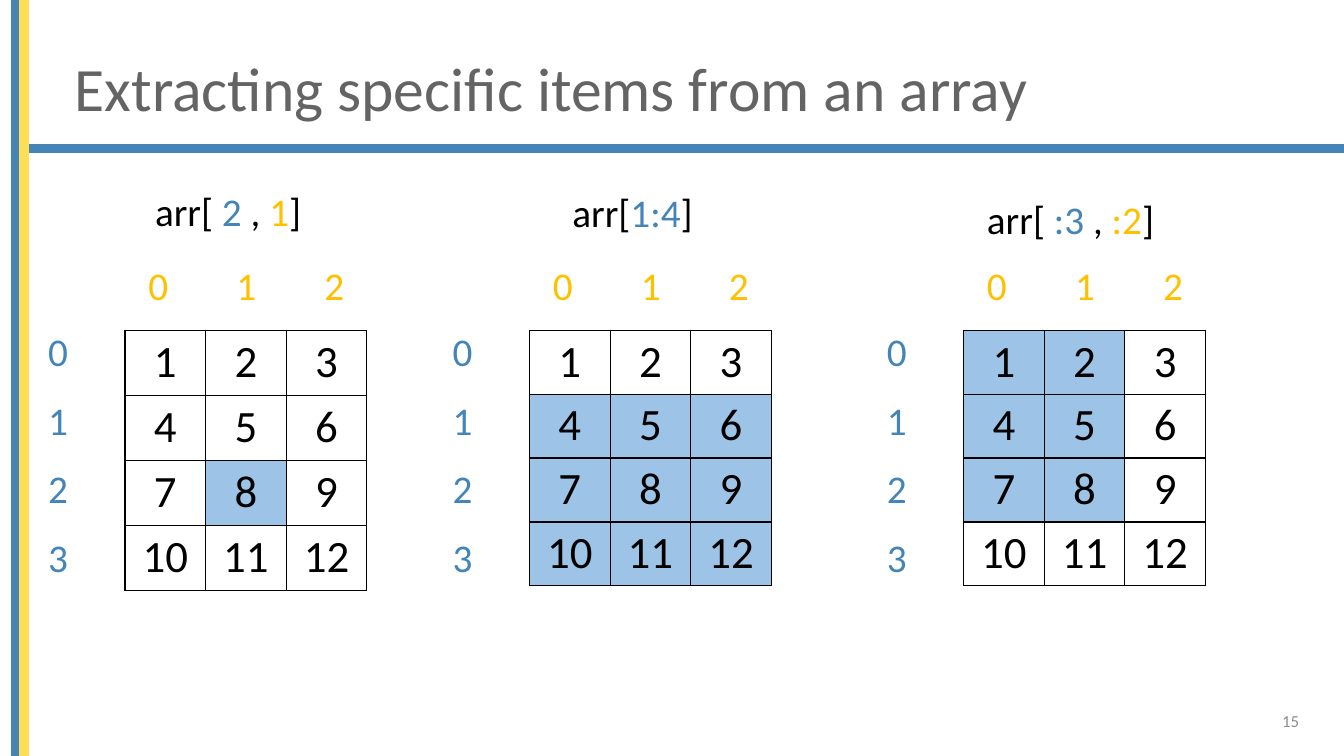
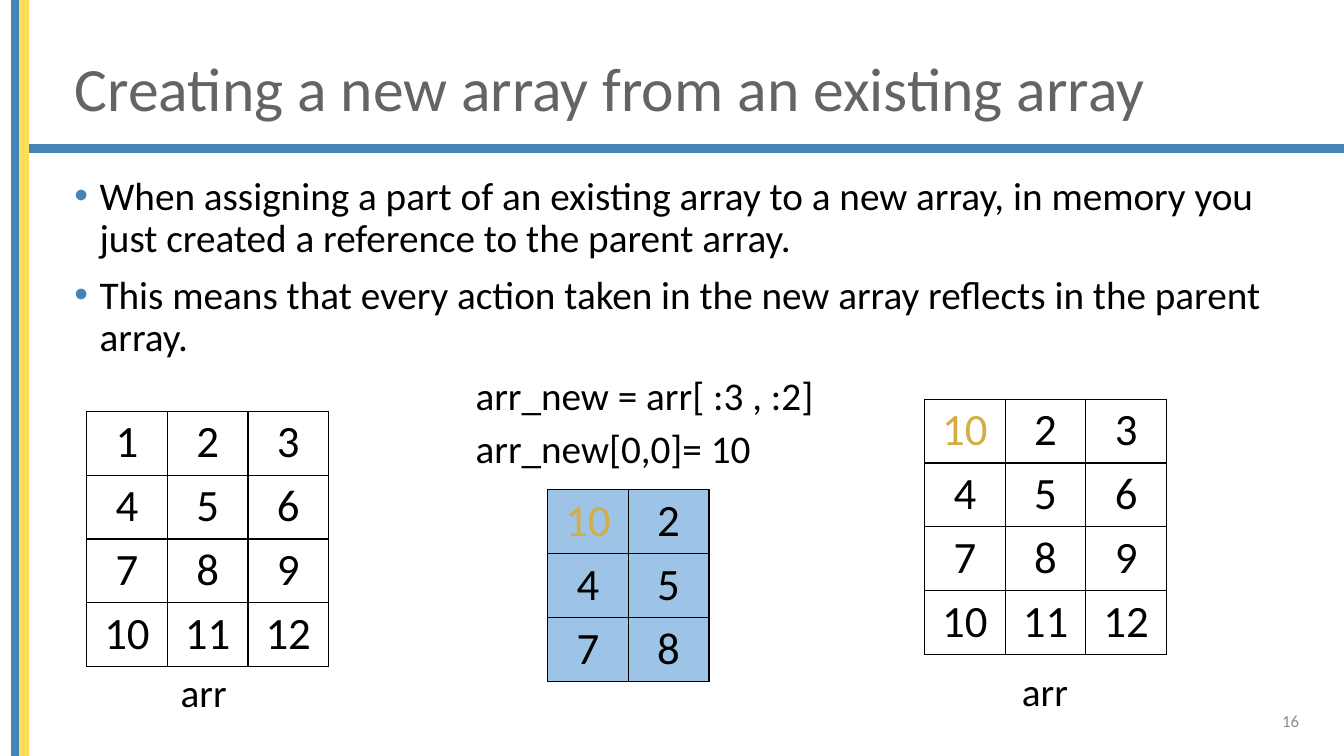
from lxml import etree
from pptx import Presentation
from pptx import util as u
from pptx.dml.color import RGBColor
from pptx.enum import shapes, text
from pptx.oxml import ns

BLUE = RGBColor(0x45, 0x84, 0xB6)
YELLOW = RGBColor(0xFF, 0xDE, 0x57)
AMBER = RGBColor(0xFF, 0xC0, 0x00)
GOLD = RGBColor(0xD5, 0xAD, 0x42)
SHADE = RGBColor(0x9D, 0xC3, 0xE6)
TITLE_GREY = RGBColor(0x64, 0x64, 0x64)
NUMBER_GREY = RGBColor(0x8C, 0x8C, 0x8C)
BLACK = RGBColor(0, 0, 0)

FONT = "Calibri"
WIDTH, HEIGHT = u.Inches(13.33), u.Inches(7.5)
CELL, ROW = 6, 8.45  # matrix cell, in percent of the slide's width and height
LABEL = (3, 7.6)     # index label size, in the same percentages


def add_xml(parent, tag, **attributes):
    return etree.SubElement(parent, ns.qn(tag), attributes)


class Slides:
    """Deck style and current slide; all lengths are percentages of the slide."""

    def __init__(self):
        self.deck = Presentation()
        self.deck.slide_width, self.deck.slide_height = WIDTH, HEIGHT
        self.page = None

    def place(self, left, top, width, height):
        return (round(left * WIDTH / 100), round(top * HEIGHT / 100),
                round(width * WIDTH / 100), round(height * HEIGHT / 100))

    def style(self, font, size, color):
        font.name, font.size, font.color.rgb = FONT, u.Pt(size), color

    def start(self, title, number):
        self.page = self.deck.slides.add_slide(self.deck.slide_layouts[5])
        self.band(2.1, 19.15, 97.9, 1.05, BLUE)
        self.band(0.9, 0, 0.6, 100, BLUE)
        self.band(1.5, 0, 0.6, 100, YELLOW)
        self.title(title)
        self.number(number)

    def band(self, left, top, width, height, color):
        bar = self.page.shapes.add_shape(
            shapes.MSO_SHAPE.RECTANGLE, *self.place(left, top, width, height))
        bar.shadow.inherit = False
        bar.fill.solid()
        bar.fill.fore_color.rgb = color
        bar.line.color.rgb = color
        bar.line.width = u.Pt(1)

    def title(self, words):
        box = self.page.shapes.title
        box.left, box.top, box.width, box.height = self.place(4.8, 5.3, 88.35, 13.5)
        frame = box.text_frame
        frame.text = words
        frame.word_wrap = True
        frame.auto_size = text.MSO_AUTO_SIZE.NONE
        frame.vertical_anchor = text.MSO_ANCHOR.MIDDLE
        para = frame.paragraphs[0]
        para.alignment = text.PP_ALIGN.LEFT
        para.line_spacing = 0.9
        self.style(para.runs[0].font, 44, TITLE_GREY)

    def number(self, value):
        frame = self.text([(str(value), NUMBER_GREY)], 74.9, 92.7, 22.5, 5.3, size=12)
        frame.vertical_anchor = text.MSO_ANCHOR.MIDDLE
        frame.word_wrap = True
        frame.paragraphs[0].alignment = text.PP_ALIGN.RIGHT

    def text(self, spans, left, top, width, height=LABEL[1], size=28):
        """One line made of (words, colour) spans."""
        box = self.page.shapes.add_textbox(*self.place(left, top, width, height))
        frame = box.text_frame
        frame.word_wrap = False
        for words, color in spans:
            span = frame.paragraphs[0].add_run()
            span.text = words
            self.style(span.font, size, color)
        return frame

    def bullets(self, lines, left, top, width, height):
        box = self.page.shapes.add_textbox(*self.place(left, top, width, height))
        frame = box.text_frame
        frame.word_wrap = True
        frame.text = "\n".join(lines)
        for index, para in enumerate(frame.paragraphs):
            para.line_spacing = 0.9
            para.space_before = u.Pt(10 if index else 0)
            props = para._p.get_or_add_pPr()
            props.set("marL", str(u.Inches(0.25)))
            props.set("indent", str(-u.Inches(0.25)))
            add_xml(add_xml(props, "a:buClr"), "a:srgbClr", val=str(BLUE))
            add_xml(props, "a:buFont", typeface="Arial")
            add_xml(props, "a:buChar", char="•")
            self.style(para.runs[0].font, 28, BLACK)

    def matrix(self, values, left, top, shaded=(), changed=(), row=ROW):
        """Bordered table; shaded and changed hold (row, column) pairs."""
        rows, columns = len(values), len(values[0])
        table = self.page.shapes.add_table(
            rows, columns, *self.place(left, top, columns * CELL, rows * row)).table
        table.first_row = table.horz_banding = False
        for r, line in enumerate(values):
            for c, value in enumerate(line):
                cell = table.cell(r, c)
                cell.margin_top = cell.margin_bottom = u.Inches(0.04)
                cell.text = str(value)
                para = cell.text_frame.paragraphs[0]
                para.alignment = text.PP_ALIGN.CENTER
                color = GOLD if (r, c) in changed else BLACK
                self.style(para.runs[0].font, 32, color)
                self.borders(cell)
                if (r, c) in shaded:
                    cell.fill.solid()
                    cell.fill.fore_color.rgb = SHADE
                else:
                    cell.fill.background()

    def borders(self, cell):
        props = cell._tc.get_or_add_tcPr()
        for side in ("a:lnL", "a:lnR", "a:lnT", "a:lnB"):
            line = add_xml(props, side, w=str(u.Pt(1)))
            add_xml(add_xml(line, "a:solidFill"), "a:srgbClr", val=str(BLACK))

    def indexed_matrix(self, values, left, shaded, row=ROW):
        """Matrix with column indices above and row indices to the left."""
        self.matrix(values, left, 43.7, shaded, row=row)
        for c in range(len(values[0])):
            self.text([(str(c), AMBER)], left + 1 + c * 6.55, 33.9, *LABEL)
        for r in range(len(values)):
            self.text([(str(r), BLUE)], left - 6.45, 42.7 + r * 9.05, *LABEL)


def block(rows, columns):
    return {(r, c) for r in rows for c in columns}


def main():
    slides = Slides()
    numbers = [list(range(first, first + 3)) for first in (1, 4, 7, 10)]

    # Indexing and slicing
    slides.start("Extracting specific items from an array", 15)
    slides.indexed_matrix(numbers, 9.3, {(2, 1)}, row=8.6)
    slides.indexed_matrix(numbers, 39.4, block(range(1, 4), range(3)))
    slides.indexed_matrix(numbers, 71.7, block(range(3), range(2)))
    slides.text([("arr[ ", BLACK), ("2", BLUE), (" , ", BLACK), ("1", AMBER),
                 ("]", BLACK)], 10.8, 24.1, 12.5)
    slides.text([("arr[", BLACK), ("1:4", BLUE), ("]", BLACK)], 41.85, 24.3, 10.6)
    slides.text([("arr[ ", BLACK), (":3", BLUE), (" , ", BLACK), (":2", AMBER),
                 ("]", BLACK)], 72.7, 25.2, 14.1)

    # A new array refers to its parent
    slides.start("Creating a new array from an existing array", 16)
    slides.bullets([
        "When assigning a part of an existing array to a new array, in memory you "
        "just created a reference to the parent array.",
        "This means that every action taken in the new array reflects in the parent "
        "array."], 4.8, 22.7, 92.6, 26)
    updated = [[10, 2, 3]] + numbers[1:]
    part = [line[:2] for line in updated[:3]]
    slides.matrix(numbers, 6.45, 54.4)
    slides.matrix(part, 40.75, 64.8, block(range(3), range(2)), {(0, 0)})
    slides.matrix(updated, 68.8, 52.8, changed={(0, 0)})
    for words, left, top, width in (
            ("arr_new = arr[ :3 , :2]", 34.65, 48.5, 26.9),
            ("arr_new[0,0]= 10", 34.65, 55.5, 22.2),
            ("arr", 12.7, 87.7, 5),
            ("arr", 75.3, 87.6, 5)):
        slides.text([(words, BLACK)], left, top, width)

    slides.deck.save("out.pptx")


if __name__ == "__main__":
    main()
